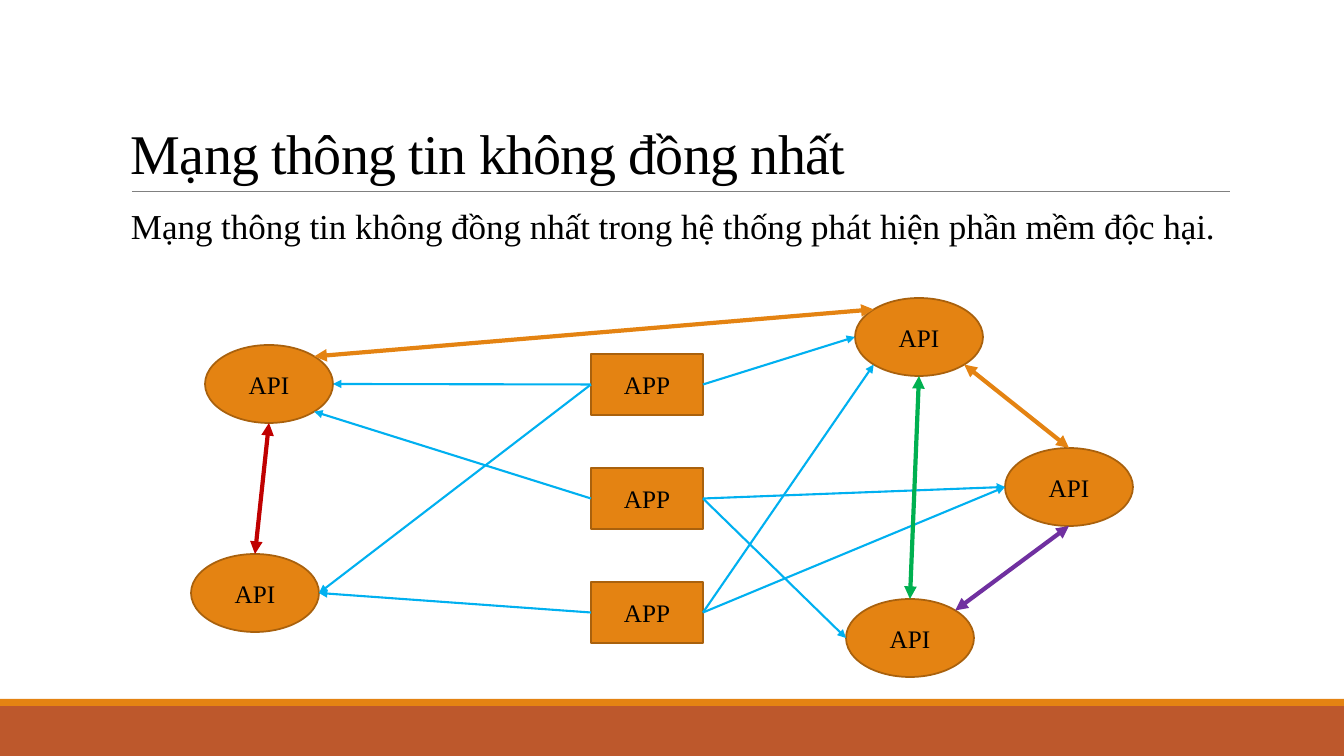
from math import sqrt

from pptx import Presentation
from pptx.dml.color import RGBColor
from pptx.enum.shapes import MSO_CONNECTOR, MSO_SHAPE
from pptx.enum.text import MSO_ANCHOR as Anchor, PP_ALIGN as Align
from pptx.oxml.ns import qn
from pptx.util import Emu, Pt
from lxml.etree import SubElement

SLIDE_WIDTH, SLIDE_HEIGHT = 1344, 756
EMU_PER_PX = 12192000 / SLIDE_WIDTH
FONT = "Times New Roman"

BLACK = RGBColor(0x00, 0x00, 0x00)
GREY = RGBColor(0x80, 0x80, 0x80)
ORANGE = RGBColor(0xE4, 0x83, 0x12)
DARK_ORANGE = RGBColor(0xA9, 0x61, 0x0D)
RUST = RGBColor(0xBD, 0x58, 0x2C)
BLUE = RGBColor(0x00, 0xB0, 0xF0)
RED = RGBColor(0xC0, 0x00, 0x00)
GREEN = RGBColor(0x00, 0xB0, 0x50)
PURPLE = RGBColor(0x70, 0x30, 0xA0)

APP_LEFT, APP_TOP, APP_STEP = 591, 354, 114
APP_SIZE = (112, 61)
API_SIZE = (128, 78)
API_PLACES = {
    "upper left": (205, 345),
    "lower left": (191, 554),
    "upper right": (855, 298),
    "far right": (1005, 448),
    "lower right": (846, 599),
}

# Fractions of width and height; the corners lie on the ellipse's outline.
NEAR = (1 - sqrt(0.5)) / 2
FAR = 1 - NEAR
SITES = {
    "top": (0.5, 0), "bottom": (0.5, 1), "left": (0, 0.5), "right": (1, 0.5),
    "top left": (NEAR, NEAR), "top right": (FAR, NEAR),
    "bottom left": (NEAR, FAR), "bottom right": (FAR, FAR),
}

# APP row, side it leaves from, API, site it reaches
CALLS = [
    (0, "right", "upper right", "left"),
    (0, "left", "upper left", "right"),
    (0, "left", "lower left", "right"),
    (1, "left", "upper left", "bottom right"),
    (1, "right", "lower right", "left"),
    (1, "right", "far right", "left"),
    (2, "right", "upper right", "bottom left"),
    (2, "right", "far right", "left"),
    (2, "left", "lower left", "right"),
]
RELATIONS = [
    ("upper left", "top right", "upper right", "top left", ORANGE),
    ("upper left", "bottom", "lower left", "top", RED),
    ("upper right", "bottom", "lower right", "top", GREEN),
    ("upper right", "bottom right", "far right", "top", ORANGE),
    ("lower right", "top right", "far right", "bottom", PURPLE),
]


def px(length):
    return Emu(round(length * EMU_PER_PX))


def set_text(text_frame, text, size, align=Align.LEFT):
    text_frame.text = text
    text_frame.word_wrap = True
    paragraph = text_frame.paragraphs[0]
    paragraph.alignment = align
    font = paragraph.runs[0].font
    font.name, font.size = FONT, Pt(size)
    font.color.rgb = BLACK
    return paragraph


def add_text(slide, box, text, size, line_spacing, anchor):
    text_frame = slide.shapes.add_textbox(*map(px, box)).text_frame
    text_frame.vertical_anchor = anchor
    paragraph = set_text(text_frame, text, size)
    paragraph.line_spacing = line_spacing
    return text_frame


def add_filled(slide, kind, box, fill):
    shape = slide.shapes.add_shape(kind, *map(px, box))
    shape.shadow.inherit = False
    shape.fill.solid()
    shape.fill.fore_color.rgb = fill
    shape.line.fill.background()
    return shape


def add_node(slide, kind, place, size, label):
    shape = add_filled(slide, kind, (*place, *size), ORANGE)
    shape.line.color.rgb = DARK_ORANGE
    shape.line.width = Pt(1.25)
    shape.text_frame.vertical_anchor = Anchor.MIDDLE
    set_text(shape.text_frame, label, 18, Align.CENTER)
    return shape


def site_of(shape, site):
    across, down = SITES[site]
    return (Emu(round(shape.left + across * shape.width)),
            Emu(round(shape.top + down * shape.height)))


def add_line(slide, start, end, color, width, arrow_ends=()):
    """Draw a straight line; arrow_ends holds any of "headEnd", "tailEnd"."""
    connector = slide.shapes.add_connector(MSO_CONNECTOR.STRAIGHT, *start, *end)
    connector.line.color.rgb = color
    connector.line.width = Pt(width)
    properties = connector._element.spPr
    outline = properties.find(qn("a:ln"))
    for arrow_end in arrow_ends:
        SubElement(outline, qn(f"a:{arrow_end}")).set("type", "triangle")
    SubElement(properties, qn("a:effectLst"))


def add_frame(slide):
    add_filled(slide, MSO_SHAPE.RECTANGLE, (0, 706, SLIDE_WIDTH, 50), RUST)
    add_filled(slide, MSO_SHAPE.RECTANGLE, (0, 699, SLIDE_WIDTH, 7), ORANGE)
    add_line(slide, (px(132), px(191)), (px(1230), px(191)), GREY, 0.5)


def add_heading(slide):
    title = add_text(slide, (121, 31, 1109, 160),
                     "Mạng thông tin không đồng nhất", 40, 0.85, Anchor.BOTTOM)
    title.paragraphs[0].runs[0].font._element.set("spc", "-50")
    body = add_text(
        slide, (121, 204, 1109, 444),
        "Mạng thông tin không đồng nhất trong hệ thống phát hiện phần mềm độc hại.",
        25, 0.9, Anchor.TOP)
    body.margin_left, body.margin_right = px(10), 0


def add_network(slide):
    apps = [add_node(slide, MSO_SHAPE.RECTANGLE,
                     (APP_LEFT, APP_TOP + row * APP_STEP), APP_SIZE, "APP")
            for row in range(3)]
    apis = {name: add_node(slide, MSO_SHAPE.OVAL, place, API_SIZE, "API")
            for name, place in API_PLACES.items()}
    for row, side, api, site in CALLS:
        add_line(slide, site_of(apps[row], side), site_of(apis[api], site),
                 BLUE, 1.5, ["tailEnd"])
    for first, first_site, second, second_site, color in RELATIONS:
        add_line(slide, site_of(apis[first], first_site),
                 site_of(apis[second], second_site),
                 color, 3, ["headEnd", "tailEnd"])


def main():
    presentation = Presentation()
    presentation.slide_width = px(SLIDE_WIDTH)
    presentation.slide_height = px(SLIDE_HEIGHT)
    slide = presentation.slides.add_slide(presentation.slide_layouts[6])
    add_frame(slide)
    add_heading(slide)
    add_network(slide)
    presentation.save("out.pptx")


if __name__ == "__main__":
    main()
